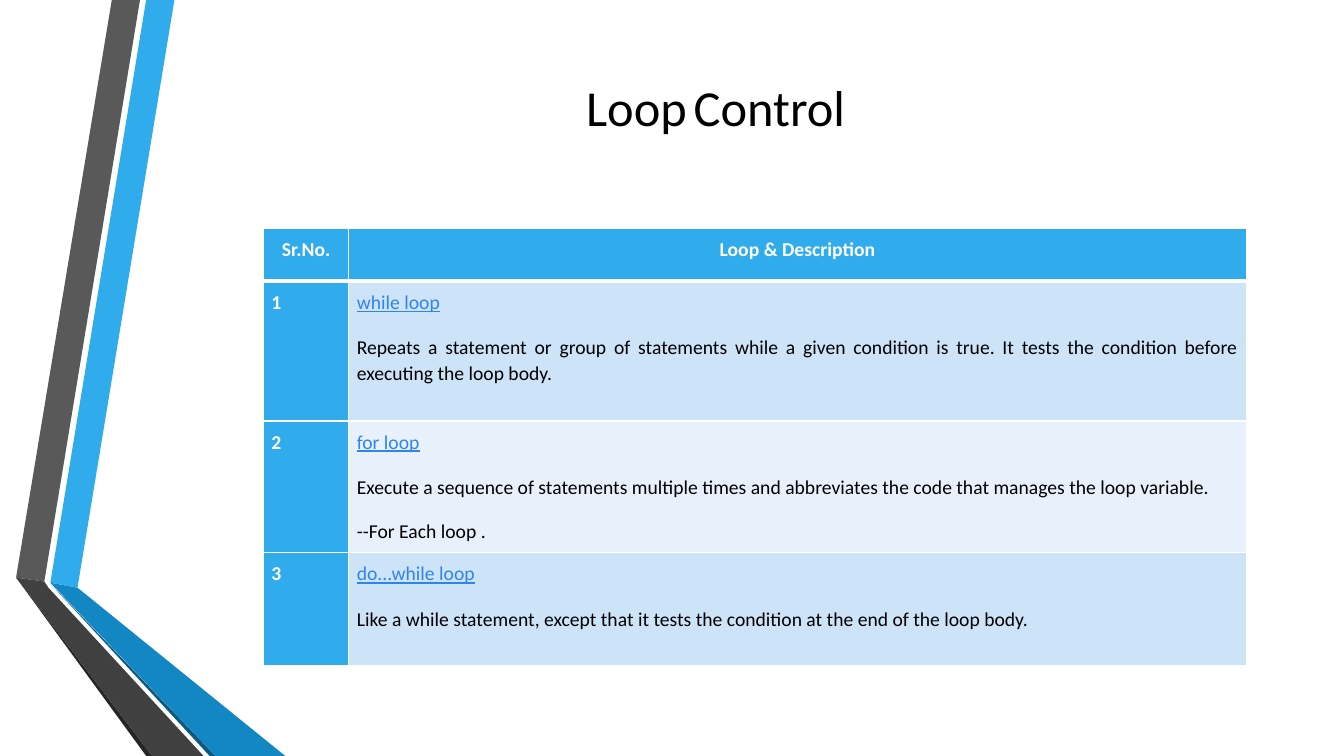
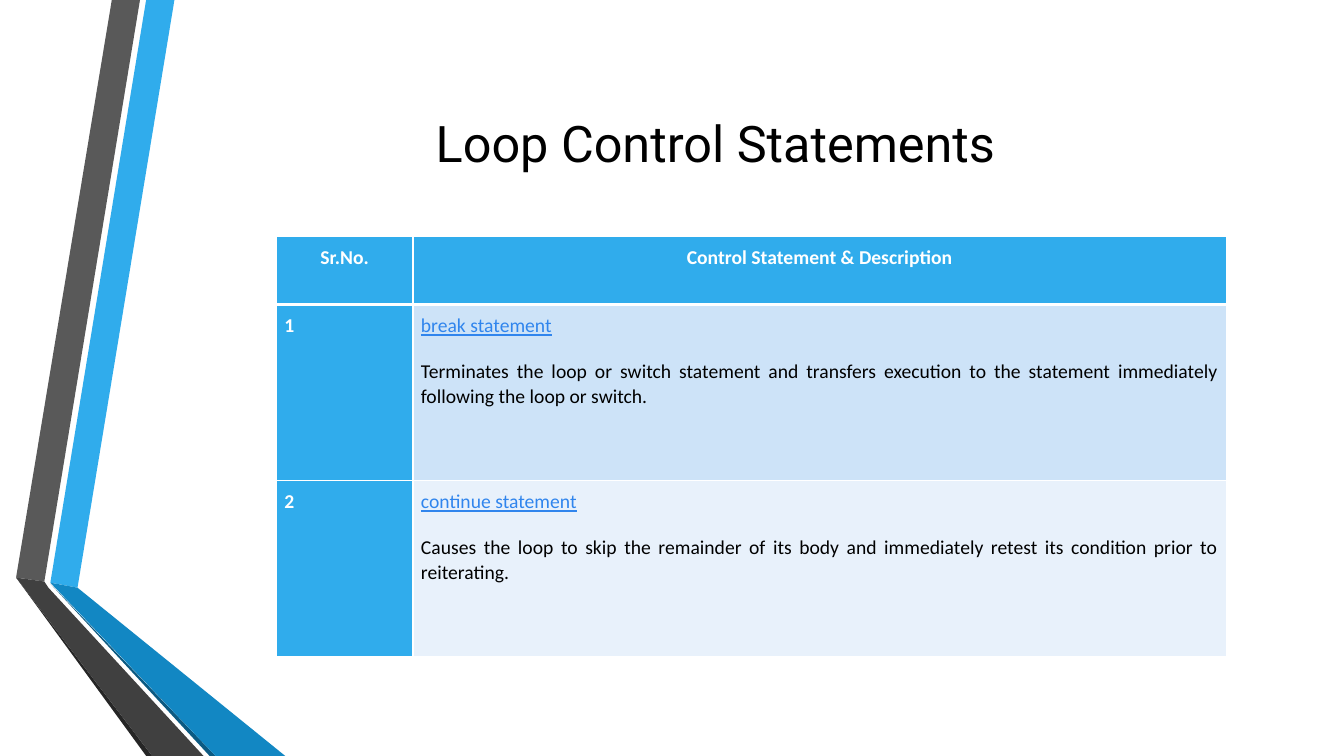
from dataclasses import dataclass

from lxml.etree import SubElement
from pptx import Presentation
from pptx.dml.color import RGBColor
from pptx.enum.text import MSO_ANCHOR, PP_ALIGN as Align
from pptx.oxml.ns import qn
from pptx.util import Pt


@dataclass(frozen=True)
class Theme:
    accent: str = "30ACEC"
    row_fills: tuple = ("CDE3F8", "E8F1FB")
    white: str = "FFFFFF"
    black: str = "000000"
    link: str = "3085ED"
    font: str = "Calibri"
    title_size: float = 36
    table_size: float = 14
    border: float = 1
    header_border: float = 3
    cell_inset: float = 5.7
    line_spacing: float = 1.07


THEME = Theme()
SLIDE_WIDTH, SLIDE_HEIGHT = 960, 540
TITLE_LEFT, TITLE_TOP, TITLE_WIDTH = 116.6, 54, 789

# Ribbon facets from back to front: colour and corner points
RIBBON = [
    (THEME.accent, [(36, 416.2), (55.4, 419.8), (124.6, 0), (104.4, 0)]),
    ("595959", [(100, 0), (79.9, 0), (11.5, 412.6), (31.7, 415.4)]),
    ("262626", [(11.5, 412.6), (104.4, SLIDE_HEIGHT), (108.7, SLIDE_HEIGHT)]),
    ("0C5A82", [(36, 416.9), (149.8, SLIDE_HEIGHT), (154.1, SLIDE_HEIGHT)]),
    ("1287C3", [(36, 416.2), (154.1, SLIDE_HEIGHT), (203.8, SLIDE_HEIGHT),
                (55.4, 419.8)]),
    ("404040", [(145.4, SLIDE_HEIGHT), (34.6, 419.8), (31.7, 415.4),
                (11.5, 412.6), (108.7, SLIDE_HEIGHT)]),
]

# Title runs are (text, size); each table row is (term, descriptions)
SLIDES = [
    {
        "title": [("Loop", THEME.title_size), (" ", 21.6), ("Control", THEME.title_size)],
        "title_font": THEME.font,
        "title_height": 44,
        "origin": (188.2, 162.8),
        "columns": [61, 641],
        "row_heights": [38, 100, 94, 80.5],
        "header": ["Sr.No.", "Loop & Description"],
        "rows": [
            ("while loop", [
                "Repeats a statement or group of statements while a given condition "
                "is true. It tests the condition before executing the loop body."]),
            ("for loop", [
                "Execute a sequence of statements multiple times and abbreviates "
                "the code that manages the loop variable.",
                "--For Each loop ."]),
            ("do...while loop", [
                "Like a while statement, except that it tests the condition at the "
                "end of the loop body."]),
        ],
    },
    {
        "title": [("Loop Control Statements", THEME.title_size)],
        "title_font": "Roboto",
        "title_height": 96,
        "origin": (197.5, 169),
        "columns": [97.5, 581],
        "row_heights": [48.6, 125.7, 125.7],
        "header": ["Sr.No.", "Control Statement & Description"],
        "rows": [
            ("break statement", [
                "Terminates the loop or switch statement and transfers execution "
                "to the statement immediately following the loop or switch."]),
            ("continue statement", [
                "Causes the loop to skip the remainder of its body and immediately "
                "retest its condition prior to reiterating."]),
        ],
    },
]


def add_text(paragraph, text, *, size=THEME.table_size, font=THEME.font,
             color=THEME.black, bold=False, underline=False, align=Align.LEFT,
             spacing=THEME.line_spacing, before=0, after=8):
    paragraph.alignment = align
    paragraph.line_spacing = spacing
    paragraph.space_before, paragraph.space_after = Pt(before), Pt(after)
    run = paragraph.add_run()
    run.text = text
    run.font.size, run.font.name = Pt(size), font
    run.font.bold, run.font.underline = bold, underline
    run.font.color.rgb = RGBColor.from_string(color)


def draw_ribbon(slide):
    for color, corners in RIBBON:
        start, *others = [(Pt(x), Pt(y)) for x, y in corners]
        builder = slide.shapes.build_freeform(*start)
        builder.add_line_segments(others, close=True)
        shape = builder.convert_to_shape()
        shape.shadow.inherit = False
        shape.fill.solid()
        shape.fill.fore_color.rgb = RGBColor.from_string(color)
        shape.line.fill.background()


def draw_title(slide, content):
    box = slide.shapes.add_textbox(Pt(TITLE_LEFT), Pt(TITLE_TOP),
                                   Pt(TITLE_WIDTH), Pt(content["title_height"]))
    frame = box.text_frame
    frame.word_wrap = True
    frame.vertical_anchor = MSO_ANCHOR.MIDDLE
    frame.margin_top = frame.margin_bottom = 0
    for text, size in content["title"]:
        add_text(frame.paragraphs[0], text, size=size, font=content["title_font"],
                 align=Align.CENTER, spacing=1.0, after=0)


def style_cell(cell, fill, top, bottom):
    """Set insets, fill and white borders of the given top and bottom widths."""
    cell.margin_left = cell.margin_right = Pt(THEME.cell_inset)
    cell.margin_top = cell.margin_bottom = Pt(THEME.cell_inset)
    properties = cell._tc.get_or_add_tcPr()
    widths = {"L": THEME.border, "R": THEME.border, "T": top, "B": bottom}
    for side, width in widths.items():
        line = SubElement(properties, qn(f"a:ln{side}"), w=str(Pt(width)))
        solid = SubElement(line, qn("a:solidFill"))
        SubElement(solid, qn("a:srgbClr"), val=THEME.white)
    cell.fill.solid()
    cell.fill.fore_color.rgb = RGBColor.from_string(fill)


def draw_table(slide, content):
    columns, heights = content["columns"], content["row_heights"]
    left, top = content["origin"]
    table = slide.shapes.add_table(len(heights), len(columns), Pt(left), Pt(top),
                                   Pt(sum(columns)), Pt(sum(heights))).table
    for column, width in zip(table.columns, columns):
        column.width = Pt(width)
    for row, height in zip(table.rows, heights):
        row.height = Pt(height)

    label = {"color": THEME.white, "bold": True}
    for cell, text in zip(table.rows[0].cells, content["header"]):
        style_cell(cell, THEME.accent, THEME.border, THEME.header_border)
        add_text(cell.text_frame.paragraphs[0], text, align=Align.CENTER, **label)

    for number, (term, descriptions) in enumerate(content["rows"], start=1):
        upper = THEME.header_border if number == 1 else THEME.border
        number_cell, text_cell = table.rows[number].cells
        style_cell(number_cell, THEME.accent, upper, THEME.border)
        add_text(number_cell.text_frame.paragraphs[0], str(number), **label)
        fill = THEME.row_fills[(number - 1) % len(THEME.row_fills)]
        style_cell(text_cell, fill, upper, THEME.border)
        frame = text_cell.text_frame
        add_text(frame.paragraphs[0], term, color=THEME.link, underline=True)
        for description in descriptions:
            add_text(frame.add_paragraph(), description, align=Align.JUSTIFY,
                     before=6, after=7.2)


def main():
    presentation = Presentation()
    presentation.slide_width, presentation.slide_height = Pt(SLIDE_WIDTH), Pt(SLIDE_HEIGHT)
    blank_layout = presentation.slide_layouts[6]
    for content in SLIDES:
        slide = presentation.slides.add_slide(blank_layout)
        draw_ribbon(slide)
        draw_title(slide, content)
        draw_table(slide, content)
    presentation.save("out.pptx")


if __name__ == "__main__":
    main()
